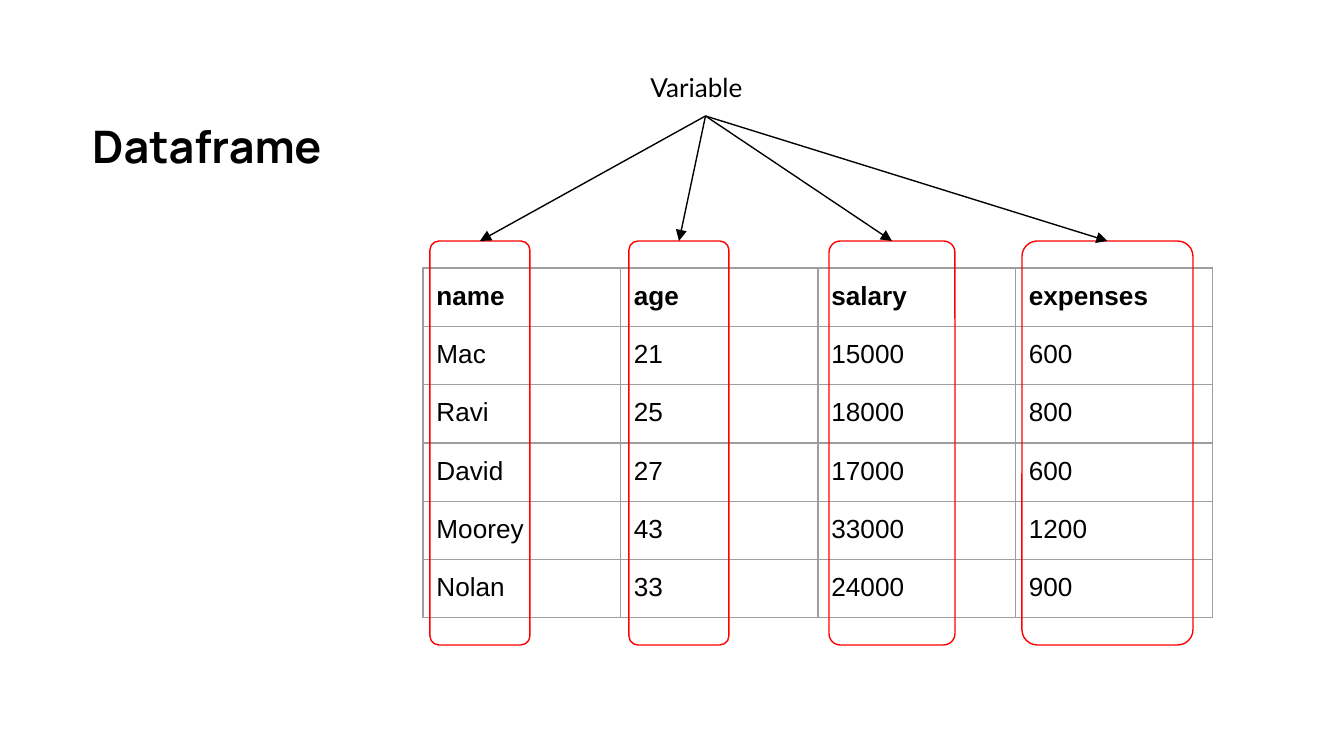
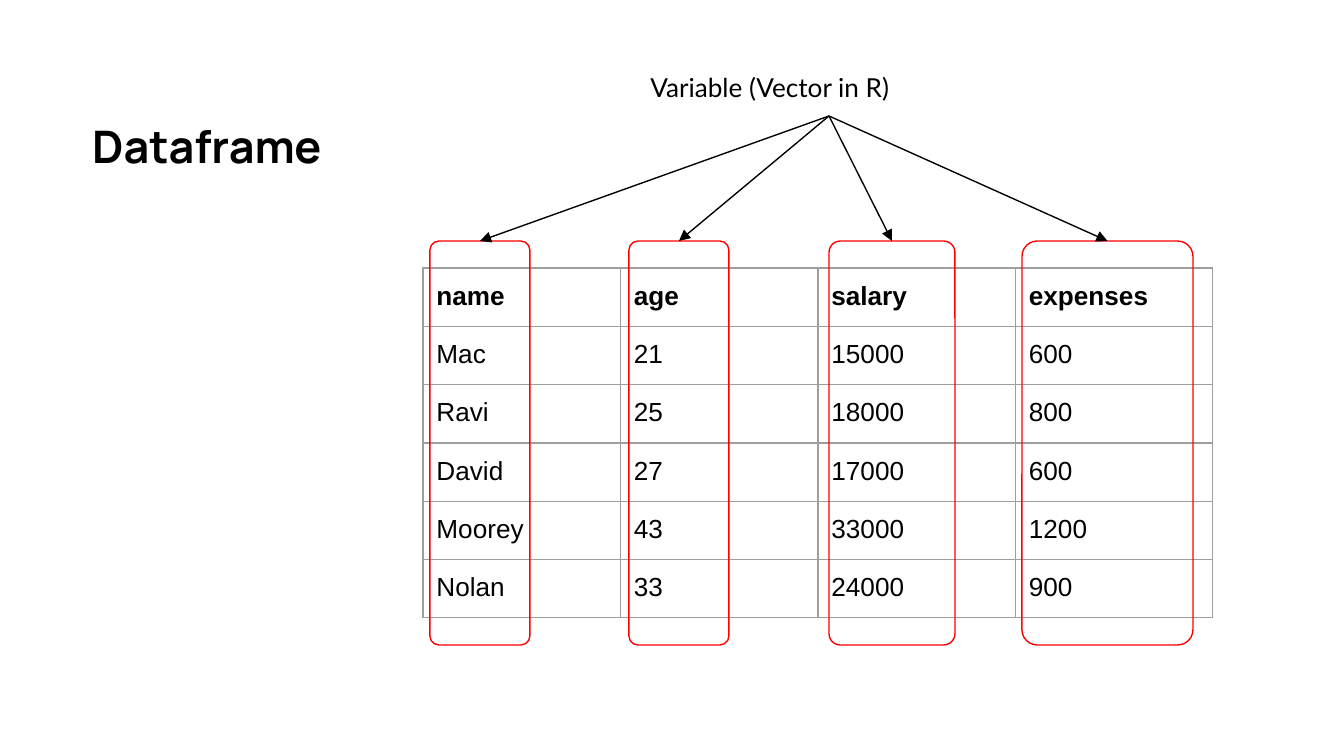
from lxml import etree
from pptx import Presentation, util as u
from pptx.dml.color import RGBColor
from pptx.enum import shapes, text
from pptx.oxml.ns import qn

BLACK = RGBColor(0x00, 0x00, 0x00)
RED = RGBColor(0xFF, 0x00, 0x00)
GREY = RGBColor(0x9E, 0x9E, 0x9E)
THIN = u.Pt(0.75)
INSET = u.Inches(0.1)

ROWS = [
    ("name", "age", "salary", "expenses"),
    ("Mac", "21", "15000", "600"),
    ("Ravi", "25", "18000", "800"),
    ("David", "27", "17000", "600"),
    ("Moorey", "43", "33000", "1200"),
    ("Nolan", "33", "24000", "900"),
]
FRAMES = [(430, 100), (629, 100), (829, 126), (1022, 171)]  # left, width
FRAME_TOP, FRAME_H = 241, 404
LABEL_X, LABEL_Y, LABEL_H = 637, 58, 58
SLIDES = [("Variable", 137), ("Variable (Vector in R)", 384)]  # label, width


def px(n):
    return round(n * u.Inches(10) / 1344)


def write(frame, words, font, size, bold=False):
    frame.margin_left = frame.margin_right = INSET
    frame.margin_top = frame.margin_bottom = INSET
    frame.word_wrap = True
    par = frame.paragraphs[0]
    par.text = words
    par.font.name, par.font.size, par.font.bold = font, u.Pt(size), bold
    par.font.color.rgb = BLACK
    return par


prs = Presentation()
prs.slide_width, prs.slide_height = px(1344), px(756)

for label, wide in SLIDES:
    slide = prs.slides.add_slide(prs.slide_layouts[6])
    items = slide.shapes

    # Title
    box = items.add_textbox(px(79), px(105), px(763), px(113))
    par = write(box.text_frame, "Dataframe", "Manrope", 24, True)
    par.space_after = u.Pt(16)

    # Data table
    table = items.add_table(len(ROWS), 4, px(423), px(268),
                            px(790), px(55 * len(ROWS))).table
    table.first_row = table.horz_banding = False
    for r, row in enumerate(ROWS):
        for c, value in enumerate(row):
            cell = table.cell(r, c)
            cell.margin_left = cell.margin_right = INSET
            cell.margin_top = cell.margin_bottom = INSET
            par = cell.text_frame.paragraphs[0]
            par.text = value
            par.font.name, par.font.size = "Arial", u.Pt(14)
            par.font.bold = r == 0
            par.font.color.rgb = BLACK
            props = cell._tc.get_or_add_tcPr()
            for side in ("a:lnL", "a:lnR", "a:lnT", "a:lnB"):
                edge = etree.SubElement(props, qn(side), w=str(THIN))
                fill = etree.SubElement(edge, qn("a:solidFill"))
                etree.SubElement(fill, qn("a:srgbClr"), val=str(GREY))
            cell.fill.background()

    # Red frames around the columns
    for left, width in FRAMES:
        frame = items.add_shape(shapes.MSO_SHAPE.ROUNDED_RECTANGLE, px(left),
                                px(FRAME_TOP), px(width), px(FRAME_H))
        frame.adjustments[0] = 0.09
        frame.shadow.inherit = False
        frame.fill.background()
        frame.line.color.rgb, frame.line.width = RED, THIN

    # Label
    box = items.add_textbox(px(LABEL_X), px(LABEL_Y), px(wide), px(LABEL_H))
    write(box.text_frame, label, "Lato", 14)
    box.text_frame.auto_size = text.MSO_AUTO_SIZE.SHAPE_TO_FIT_TEXT

    # Arrows from the label to each frame
    for left, width in FRAMES:
        arrow = items.add_connector(
            shapes.MSO_CONNECTOR.STRAIGHT,
            px(LABEL_X + wide / 2), px(LABEL_Y + LABEL_H),
            px(left + width / 2), px(FRAME_TOP))
        arrow.line.color.rgb, arrow.line.width = BLACK, THIN
        etree.SubElement(arrow.line._get_or_add_ln(), qn("a:tailEnd"),
                         type="triangle", w="med", len="med")
        etree.SubElement(arrow._element.spPr, qn("a:effectLst"))

prs.save("out.pptx")
